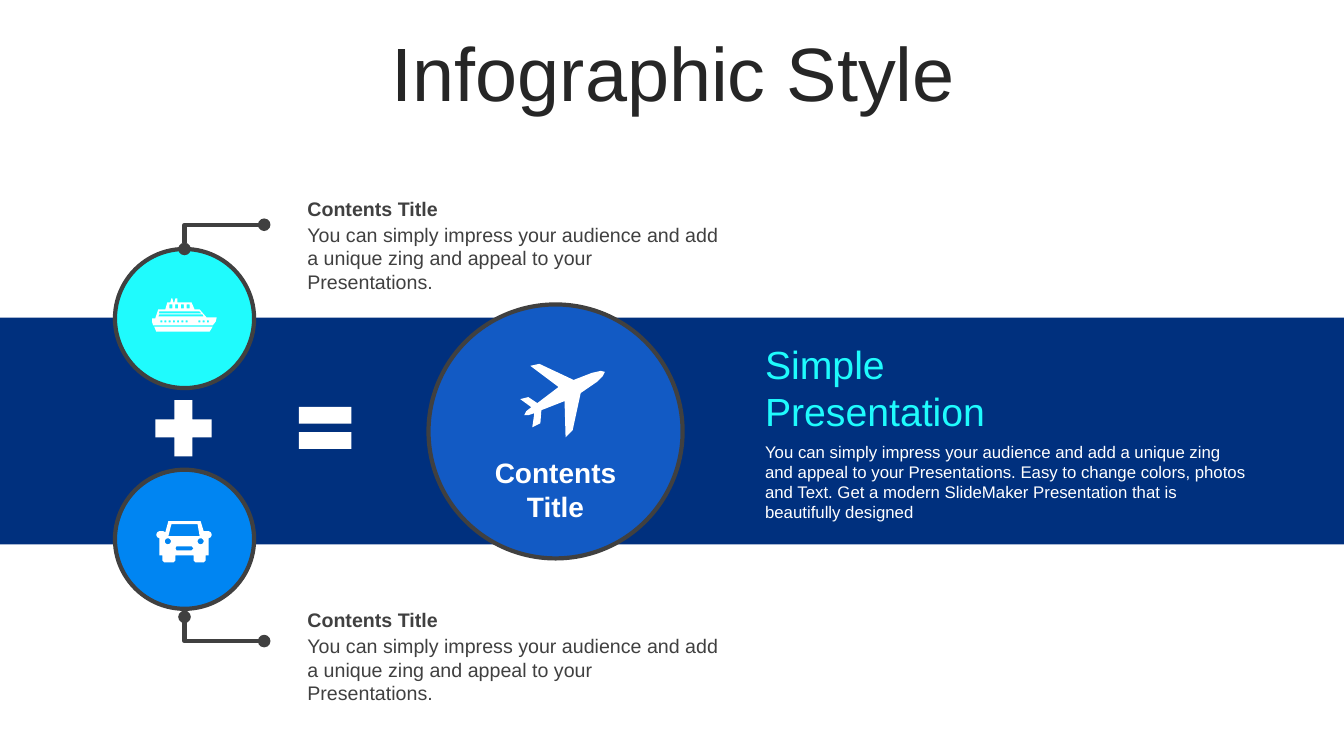
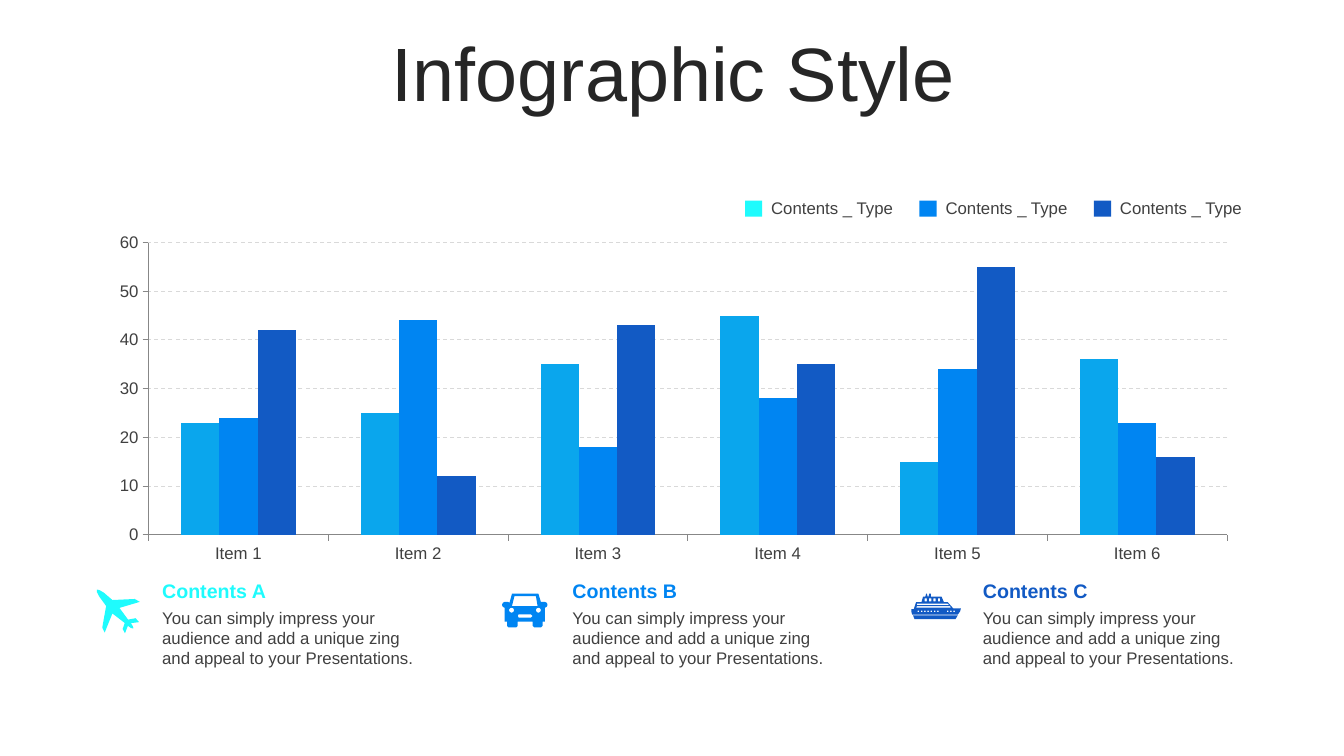
import math

from lxml import etree
from pptx import Presentation
from pptx import util as u
from pptx.chart.data import CategoryChartData
from pptx.dml.color import RGBColor
from pptx.enum import chart as charts, dml, shapes, text
from pptx.oxml.ns import qn

THEME = {
    "font": "Arial", "ink": "262626", "gray": "404040", "white": "FFFFFF",
    "navy": "00307E", "cyan": "1FFBFD", "sky": "0AA6ED", "azure": "0085F2", "royal": "125AC4",
    "grid": "D9D9D9", "axis": "878787",
    "title": 54, "headline": 28, "label": 20, "copy": 14, "small": 12, "outline": 3,
}
WIDTH, HEIGHT = 13.33, 7.5
TITLE = "Infographic Style"
PITCH = "You can simply impress your audience and add a unique zing and appeal to your Presentations."
PROMISE = (PITCH + " Easy to change colors, photos and Text. "
           "Get a modern SlideMaker Presentation that is beautifully designed")

ADDENDS = [
    {"icon": "ship", "color": "cyan", "circle": 2.47, "icon_at": (1.51, 2.96, 0.64),
     "caption": 1.9, "elbow": 2.23, "flip": True},
    {"icon": "car", "color": "azure", "circle": 4.66, "icon_at": (1.55, 5.17, 0.55),
     "caption": 5.98, "elbow": 6.12, "flip": False},
]
SIGNS = [(shapes.MSO_SHAPE.MATH_PLUS, (1.44, 3.87, 0.76, 0.76)),
         (shapes.MSO_SHAPE.MATH_EQUAL, (2.87, 3.89, 0.71, 0.71))]

CATEGORIES = [f"Item {number}" for number in range(1, 7)]
SERIES = [
    ("Series 1", "sky", (23, 25, 35, 45, 15, 36)),
    ("Series 2", "azure", (24, 44, 18, 28, 34, 23)),
    ("Series 3", "royal", (42, 12, 43, 35, 55, 16)),
]
COLUMNS = [
    ("Contents A", "cyan", "plane", (0.94, 5.83, 0.49), -105),
    ("Contents B", "azure", "car", (4.98, 5.89, 0.45), 0),
    ("Contents C", "royal", "ship", (9.04, 5.89, 0.49), 0),
]


def pane(left, top, width, height):
    return [(left, top), (left + width, top), (left + width, top + height), (left, top + height)]


def disc(x, y, radius, steps=16):
    angles = [2 * math.pi * step / steps for step in range(steps)]
    return [(x + radius * math.cos(angle), y + radius * math.sin(angle)) for angle in angles]


ICONS = {
    "car": [
        [(12, 0), (44, 0), (47, 10), (52, 10), (54, 11), (55, 13), (55, 14), (54, 16), (52, 17),
         (52, 34), (49, 34), (49, 39), (47, 41), (39, 41), (37, 39), (37, 34), (19, 34), (19, 39),
         (17, 41), (8, 41), (6, 39), (6, 34), (3, 34), (3, 17), (1, 16), (0, 14), (0, 13),
         (1, 11), (3, 10), (7, 10), (9, 11)],
        [(15, 3), (12, 15), (43, 15), (41, 3)],
        [(20, 25), (19, 27), (20, 29), (35, 29), (37, 27), (35, 25)],
        disc(11.5, 20, 3), disc(44, 20, 3),
    ],
    "ship": [
        [(23, 0), (25, 0), (25, 4), (39, 4), (42, 11), (47, 11), (54, 19), (64, 19), (63, 23),
         (60, 27), (1, 27), (0, 24), (0, 20), (3, 20), (6, 11), (13, 11), (15, 4), (18, 4),
         (19, 0), (20, 0), (21, 4), (22, 4)],
        [(2, 28), (60, 28), (57, 33), (4, 33)],
        [(7, 16), (6, 18), (51, 18), (50, 16)],
        [(7, 13), (7, 15), (49, 15), (47, 13)],
        *[pane(8 + 4.2 * slot, 22, 2, 2) for slot in range(12) if slot not in (7, 8)],
        *[pane(17 + 5.7 * slot, 6, 3, 4) for slot in range(4)],
    ],
    "plane": [
        [(12, 63), (14, 49), (8, 51), (4, 51), (6, 47), (11, 43), (0, 35), (8, 33), (17, 39),
         (38, 23), (10, 2), (19, 0), (36, 8), (53, 16), (71, 9), (80, 7), (84, 8), (82, 12),
         (76, 18), (60, 29), (52, 66), (45, 73), (44, 37), (21, 46), (20, 59)],
    ],
}


def rgb(name):
    return RGBColor.from_string(THEME[name])


def inches(values):
    return [u.Inches(value) for value in values]


def apply(target, values):
    for name, value in values.items():
        setattr(target, name, value)


def write(frame, lines, size, color, bold=False, align=text.PP_ALIGN.LEFT,
          anchor=text.MSO_ANCHOR.TOP, spacing=1.0):
    apply(frame, {"word_wrap": True, "auto_size": text.MSO_AUTO_SIZE.NONE, "vertical_anchor": anchor})
    for index, line in enumerate(lines):
        para = frame.paragraphs[0] if index == 0 else frame.add_paragraph()
        apply(para, {"alignment": align, "line_spacing": spacing})
        span = para.add_run()
        span.text = line
        apply(span.font, {"name": THEME["font"], "size": u.Pt(THEME[size]), "bold": bold})
        span.font.color.rgb = rgb(color)


def add_text(page, at, lines, size, color, **style):
    box = page.shapes.add_textbox(*inches(at))
    write(box.text_frame, lines, size, color, **style)


def paint(shape, fill, outline=None):
    shape.shadow.inherit = False
    shape.fill.solid()
    shape.fill.fore_color.rgb = rgb(fill)
    if outline:
        shape.line.color.rgb = rgb(outline)
        shape.line.width = u.Pt(THEME["outline"])
    else:
        shape.line.fill.background()


def add_shape(page, kind, at, fill, outline=None):
    paint(page.shapes.add_shape(kind, *inches(at)), fill, outline)


def add_icon(page, name, at, color, rotation=0):
    left, top, width = at
    outlines = [[(x * 10, y * 10) for x, y in outline] for outline in ICONS[name]]
    scale = u.Inches(width) / max(x for x, _ in outlines[0])
    builder = page.shapes.build_freeform(*outlines[0][0], scale=scale)
    for index, outline in enumerate(outlines):
        if index:
            builder.move_to(*outline[0])
        builder.add_line_segments(outline[1:], close=True)
    icon = builder.convert_to_shape(*inches((left, top)))
    icon.rotation = rotation
    paint(icon, color)


def add_elbow(page, left, top, width, height, flip):
    ends = inches((left, top, left + width, top + height))
    elbow = page.shapes.add_connector(shapes.MSO_CONNECTOR.ELBOW, *ends)
    elbow.line.color.rgb = rgb("gray")
    elbow.line.width = u.Pt(THEME["outline"])
    props = elbow._element.spPr
    props.find(qn("a:prstGeom")).set("prst", "bentConnector2")
    frame = props.find(qn("a:xfrm"))
    frame.set("rot", "10800000")
    if flip:
        frame.set("flipV", "1")
    for end in ("a:headEnd", "a:tailEnd"):
        etree.SubElement(props.find(qn("a:ln")), qn(end)).set("type", "oval")
    etree.SubElement(props, qn("a:effectLst"))


def add_page(deck):
    page = deck.slides.add_slide(deck.slide_layouts[5])
    title = page.shapes.title
    apply(title, dict(zip(("left", "top", "width", "height"), inches((0.35, 0.37, 12.66, 0.79)))))
    write(title.text_frame, [TITLE], "title", "ink", align=text.PP_ALIGN.CENTER,
          anchor=text.MSO_ANCHOR.MIDDLE, spacing=0.9)
    return page


def build_equation(deck):
    page = add_page(deck)
    oval = shapes.MSO_SHAPE.OVAL
    add_shape(page, shapes.MSO_SHAPE.RECTANGLE, (0, HEIGHT * 0.42, WIDTH, HEIGHT * 0.3), "navy")
    for addend in ADDENDS:
        add_shape(page, oval, (1.14, addend["circle"], 1.38, 1.38), addend["color"], "gray")
        add_icon(page, addend["icon"], addend["icon_at"], "white")
        add_text(page, (2.95, addend["caption"], 4.29, 0.34), ["Contents Title"], "copy", "gray", bold=True)
        add_text(page, (2.95, addend["caption"] + 0.26, 4.29, 0.57), [PITCH], "copy", "gray")
        add_elbow(page, 1.83, addend["elbow"], 0.79, 0.24, addend["flip"])
    for kind, at in SIGNS:
        add_shape(page, kind, at, "white")
    add_shape(page, oval, (4.25, 3.02, 2.52, 2.52), "royal", "gray")
    add_icon(page, "plane", (5.16, 3.61, 0.84), "white")
    add_text(page, (4.25, 4.47, 2.52, 0.77), ["Contents", "Title"], "label", "white",
             bold=True, align=text.PP_ALIGN.CENTER)
    add_text(page, (7.49, 3.33, 5, 1.04), ["Simple", "Presentation"], "headline", "cyan")
    add_text(page, (7.49, 4.33, 5, 0.91), [PROMISE], "small", "white")


def add_columns_chart(page):
    data = CategoryChartData()
    data.categories = CATEGORIES
    for name, _, values in SERIES:
        data.add_series(name, values)
    chart = page.shapes.add_chart(charts.XL_CHART_TYPE.COLUMN_CLUSTERED,
                                  *inches((0.96, 2.25, 11.44, 3.4)), data).chart
    apply(chart, {"has_legend": False, "has_title": False})
    apply(chart.font, {"name": THEME["font"], "size": u.Pt(THEME["small"])})
    chart.font.color.rgb = rgb("gray")
    plot = chart.plots[0]
    apply(plot, {"gap_width": 170, "overlap": 0, "vary_by_categories": False})
    for series, (_, color, _) in zip(plot.series, SERIES):
        series.format.fill.solid()
        series.format.fill.fore_color.rgb = rgb(color)
    for axis in (chart.category_axis, chart.value_axis):
        axis.major_tick_mark = charts.XL_TICK_MARK.OUTSIDE
        axis.format.line.color.rgb = rgb("axis")
    apply(chart.value_axis, {"minimum_scale": 0, "maximum_scale": 60, "major_unit": 10,
                             "has_major_gridlines": True})
    line = chart.value_axis.major_gridlines.format.line
    line.color.rgb = rgb("grid")
    apply(line, {"width": u.Pt(0.75), "dash_style": dml.MSO_LINE.DASH})


def build_chart(deck):
    page = add_page(deck)
    add_columns_chart(page)
    for index, (name, color, icon, at, rotation) in enumerate(COLUMNS):
        left, key = 1.51 + 4.07 * index, 7.39 + 1.73 * index
        add_text(page, (left, 5.69, 2.76, 0.34), [name], "copy", color, bold=True,
                 anchor=text.MSO_ANCHOR.MIDDLE)
        add_text(page, (left, 5.98, 2.76, 0.71), [PITCH], "small", "gray")
        add_icon(page, icon, at, color, rotation)
        add_shape(page, shapes.MSO_SHAPE.RECTANGLE, (key, 1.99, 0.17, 0.16), color)
        add_text(page, (key + 0.16, 1.91, 1.43, 0.3), ["Contents _ Type"], "small", "gray",
                 anchor=text.MSO_ANCHOR.MIDDLE)


def main():
    deck = Presentation()
    apply(deck, {"slide_width": u.Inches(WIDTH), "slide_height": u.Inches(HEIGHT)})
    build_equation(deck)
    build_chart(deck)
    deck.save("out.pptx")


if __name__ == "__main__":
    main()
